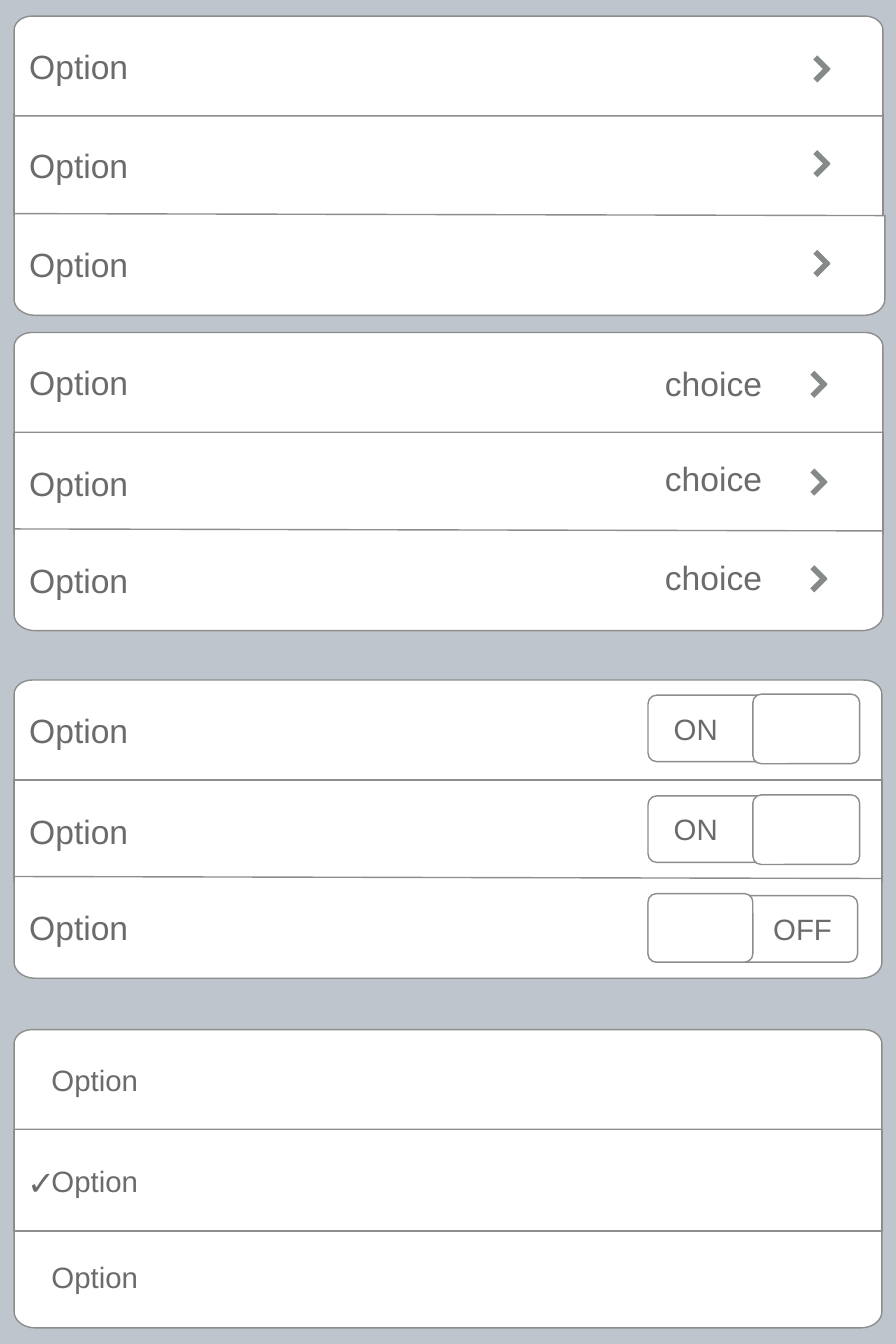
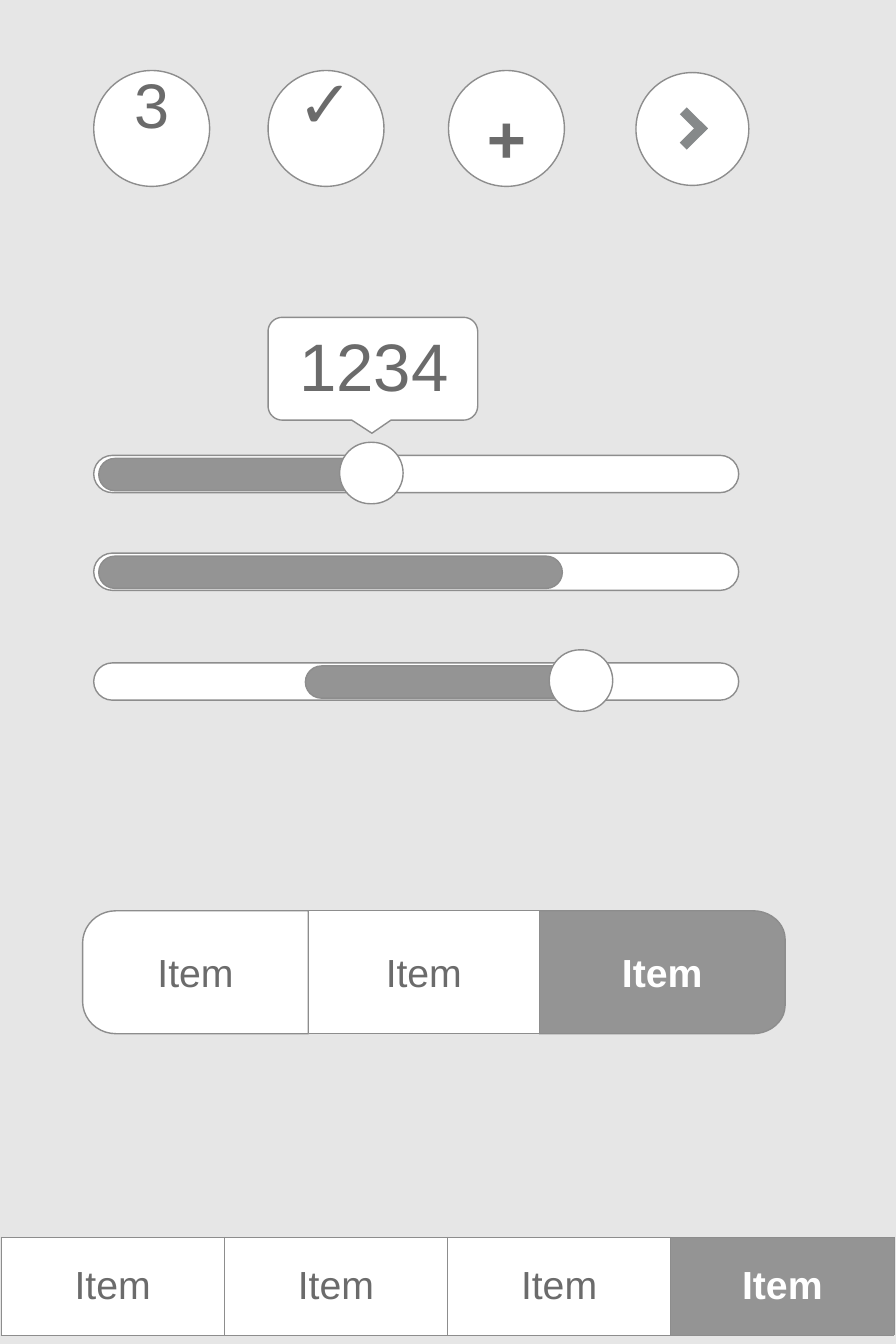
from dataclasses import dataclass
from math import cos, pi, sin

from lxml import etree
from pptx import Presentation
from pptx.dml.color import RGBColor
from pptx.enum.shapes import MSO_CONNECTOR, MSO_SHAPE
from pptx.enum.text import MSO_ANCHOR, PP_ALIGN
from pptx.oxml.ns import qn
from pptx.util import Inches, Pt


@dataclass(frozen=True)
class Theme:
    font: str = "Arial"
    settings_page: str = "BFC5CC"
    controls_page: str = "E6E6E6"
    white: str = "FFFFFF"
    active: str = "949494"
    border: str = "8D8D8D"
    chevron: str = "86898A"
    ink: str = "6B6B6B"
    small: int = 21
    label: int = 24
    item: int = 28
    digit: int = 45
    large: int = 48


THEME = Theme()
SQUARE = (0, 0)
ROW_SHAPES = {  # height, corner radii clockwise from top left, drop of the top edge
    "top": (0.99, ((0.18, 0.14), (0.18, 0.14), SQUARE, SQUARE), 0),
    "middle": (1.01, (SQUARE,) * 4, 0),
    "bottom": (1.01, (SQUARE, SQUARE, (0.21, 0.16), (0.21, 0.16)), 0.02),
}


@dataclass(frozen=True)
class Box:
    left: float
    top: float
    width: float
    height: float

    @property
    def right(self):
        return self.left + self.width

    @property
    def bottom(self):
        return self.top + self.height

    def inner(self, x, y, width, height):
        return Box(self.left + x, self.top + y, width, height)

    def lengths(self):
        return [Inches(v) for v in (self.left, self.top, self.width, self.height)]


def rgb(color):
    return RGBColor.from_string(color)


def paint(shape, fill, line=THEME.border):
    shape.shadow.inherit = False
    shape.fill.solid()
    shape.fill.fore_color.rgb = rgb(fill)
    if line:
        shape.line.color.rgb = rgb(line)
        shape.line.width = Pt(1)
    else:
        shape.line.fill.background()
    return shape


def style(frame, text, size, color=THEME.ink, bold=False, align=PP_ALIGN.LEFT):
    frame.text = text
    para = frame.paragraphs[0]
    para.alignment = align
    font = para.runs[0].font
    font.name, font.size, font.bold = THEME.font, Pt(size), bold
    font.color.rgb = rgb(color)
    return para


def write(shape, text, size, margins=(0, 0), **look):
    """Write centred-in-height text with (horizontal, vertical) margins."""
    frame = shape.text_frame
    frame.word_wrap = True
    frame.vertical_anchor = MSO_ANCHOR.MIDDLE
    frame.margin_left = frame.margin_right = Inches(margins[0])
    frame.margin_top = frame.margin_bottom = Inches(margins[1])
    return style(frame, text, size, **look)


def add_preset(page, kind, box, fill=THEME.white, line=THEME.border, radius=None):
    shape = page.shapes.add_shape(kind, *box.lengths())
    if radius is not None:
        shape.adjustments[0] = radius
    return paint(shape, fill, line)


def add_free_text(page, box, text, size, bold=False):
    frame = page.shapes.add_textbox(*box.lengths()).text_frame
    frame.word_wrap = False
    style(frame, text, size, bold=bold, align=PP_ALIGN.CENTER)


def add_panel(page, box, radii, fill=THEME.white, top_drop=0, pointer=()):
    """Outline with one radius pair per corner; pointer points join the bottom edge."""
    corners = (
        (box.left, box.top, 1, 1),
        (box.right, box.top + top_drop, -1, 1),
        (box.right, box.bottom, -1, -1),
        (box.left, box.bottom, 1, -1),
    )
    points = []
    for number, ((x, y, inward_x, inward_y), (rx, ry)) in enumerate(zip(corners, radii)):
        steps = 10 if rx else 0
        for step in range(steps + 1):
            angle = pi + number * pi / 2 + (step / steps * pi / 2 if steps else 0)
            points.append((x + rx * (inward_x + cos(angle)),
                           y + ry * (inward_y + sin(angle))) if steps else (x, y))
        if number == 2:
            points.extend(pointer)
    start, *rest = [(Inches(x), Inches(y)) for x, y in points]
    builder = page.shapes.build_freeform(*start)
    builder.add_line_segments(rest, close=True)
    return paint(builder.convert_to_shape(), fill)


def add_chevron(page, box, weight):
    tip = box.left + box.width
    for start, end in ((box.top, box.top + box.width),
                       (box.bottom, box.bottom - box.width)):
        arm = page.shapes.add_connector(
            MSO_CONNECTOR.STRAIGHT,
            *(Inches(v) for v in (box.left, start, tip, end)))
        arm.line.color.rgb = rgb(THEME.chevron)
        arm.line.width = Pt(weight)
        properties = arm.line._get_or_add_ln().getparent()
        etree.SubElement(properties, qn("a:effectLst"))


def add_row(page, kind, top, width=8.61, size=THEME.label, indent=0):
    height, radii, drop = ROW_SHAPES[kind]
    box = Box(0.14, top, width, height)
    row = add_panel(page, box, radii, top_drop=drop)
    write(row, "Option", size, (0.15, 0.15))
    row.text_frame.margin_left = Inches(0.15 + indent)
    return box


def add_link_row(page, kind, top, width, chevron_y):
    box = add_row(page, kind, top, width)
    add_chevron(page, box.inner(7.95, chevron_y, 0.13, 0.23), 4)


def add_choice_row(page, kind, top, chevron_y, choice_y):
    box = add_row(page, kind, top, 8.62)
    add_chevron(page, box.inner(7.92, chevron_y, 0.13, 0.23), 4)
    choice = add_preset(page, MSO_SHAPE.RECTANGLE,
                        box.inner(4.8, choice_y, 2.62, 0.38), line=None)
    write(choice, "choice", THEME.label, align=PP_ALIGN.RIGHT)


def add_toggle_row(page, kind, top, toggle_y, is_on):
    box = add_row(page, kind, top)
    toggle = box.inner(6.29, toggle_y, 2.08, 0.66)
    track = add_preset(page, MSO_SHAPE.ROUNDED_RECTANGLE, toggle, radius=0.13)
    write(track, "ON" if is_on else "OFF", THEME.small, (0.23, 0.15),
          align=PP_ALIGN.LEFT if is_on else PP_ALIGN.RIGHT)
    knob = toggle.inner(1.04, -0.01, 1.06, 0.69) if is_on else toggle.inner(
        0, -0.02, 1.04, 0.68)
    add_preset(page, MSO_SHAPE.ROUNDED_RECTANGLE, knob, radius=0.12)


def add_check_row(page, kind, top, checked):
    box = add_row(page, kind, top, size=THEME.small, indent=0.22)
    if checked:
        add_free_text(page, box.inner(0.03, 0.27, 0.4, 0.5), "✓", THEME.label, True)


def add_badge(page, box, text, size, bold, spacing):
    badge = add_preset(page, MSO_SHAPE.OVAL, box)
    para = write(badge, text, size, bold=bold, align=PP_ALIGN.CENTER)
    para.line_spacing = spacing


def add_arrow_badge(page, box):
    add_preset(page, MSO_SHAPE.OVAL, box)
    add_chevron(page, box.inner(0.47, 0.38, 0.21, 0.35), 7)


def add_slider(page, box, start, length, knob_x=None):
    bars = [(box, THEME.white),
            (box.inner(start, 0.03, length, 0.32), THEME.active)]
    if knob_x is not None:
        bars.append((box.inner(knob_x, -0.13, 0.63, 0.61), THEME.white))
    for bar, fill in bars:
        add_preset(page, MSO_SHAPE.ROUNDED_RECTANGLE, bar, fill, radius=0.5)


def add_value_callout(page, box):
    pointer = [(box.left + x, box.bottom + y)
               for x, y in ((1.22, 0), (1.03, 0.13), (0.83, 0))]
    add_panel(page, box, ((0.14, 0.14),) * 4, pointer=pointer)
    add_free_text(page, box.inner(0.15, 0.02, 1.8, 0.9), "1234", THEME.large)


def item_look(active):
    return {"color": THEME.white if active else THEME.ink,
            "bold": active, "align": PP_ALIGN.CENTER}


def add_segments(page, box):
    left, right = (0.33, 0.32), (0.32, 0.28)
    segments = (
        (2.29, 2.24, 2.44, (SQUARE, right, right, SQUARE), True),
        (0, 0, 2.24, (left, SQUARE, SQUARE, left), False),
        (0, 2.24, 2.29, (SQUARE,) * 4, False),
    )
    for shift, x, width, radii, active in segments:
        segment = add_panel(page, box.inner(shift + x, 0, width, box.height), radii,
                            THEME.active if active else THEME.white)
        write(segment, "Item", THEME.item, (0 if active else 0.06,) * 2,
              **item_look(active))


def add_cell_borders(cell):
    properties = cell._tc.get_or_add_tcPr()
    for side in ("lnL", "lnR", "lnT", "lnB"):
        line = etree.SubElement(properties, qn(f"a:{side}"), w=str(Pt(0.45)))
        fill = etree.SubElement(line, qn("a:solidFill"))
        etree.SubElement(fill, qn("a:srgbClr"), val=THEME.border)


def add_tab_bar(page, box, count=4):
    table = page.shapes.add_table(1, count, *box.lengths()).table
    table.first_row = table.horz_banding = False
    for number, cell in enumerate(table.iter_cells()):
        active = number == count - 1
        table.columns[number].width = Inches(box.width / count)
        add_cell_borders(cell)
        cell.fill.solid()
        cell.fill.fore_color.rgb = rgb(THEME.active if active else THEME.white)
        cell.vertical_anchor = MSO_ANCHOR.MIDDLE
        cell.margin_left = cell.margin_right = Inches(0.06)
        style(cell.text_frame, "Item", THEME.item, **item_look(active))


def add_page(deck, color):
    page = deck.slides.add_slide(deck.slide_layouts[6])
    page.background.fill.solid()
    page.background.fill.fore_color.rgb = rgb(color)
    return page


def build_settings(deck):
    page = add_page(deck, THEME.settings_page)
    sections = (
        (add_link_row, (("middle", 1.13, 8.62, 0.38), ("top", 0.16, 8.62, 0.41),
                        ("bottom", 2.12, 8.64, 0.38))),
        (add_choice_row, (("top", 3.3, 0.4, 0.31), ("middle", 4.29, 0.38, 0.26),
                          ("bottom", 5.25, 0.38, 0.29))),
        (add_toggle_row, (("middle", 7.74, 0.16, True), ("bottom", 8.7, 0.19, False),
                          ("top", 6.75, 0.15, True))),
        (add_check_row, (("top", 10.22, False), ("bottom", 12.17, False),
                         ("middle", 11.21, True))),
    )
    for draw_row, rows in sections:
        for row in rows:
            draw_row(page, *row)


def build_controls(deck):
    page = add_page(deck, THEME.controls_page)
    add_segments(page, Box(0.82, 9.04, 6.97, 1.22))
    add_tab_bar(page, Box(0.01, 12.28, 8.86, 0.97))
    for left, *badge in ((0.93, "3", THEME.digit, False, 0.01),
                         (2.66, "✓", THEME.large, True, 0.01),
                         (4.45, "+", THEME.large, True, 1.2)):
        add_badge(page, Box(left, 0.7, 1.15, 1.15), *badge)
    add_arrow_badge(page, Box(6.31, 0.72, 1.12, 1.12))
    for top, *slider in ((4.52, 0.05, 2.99, 2.44), (5.49, 0.05, 4.6),
                         (6.58, 2.1, 2.99, 4.52)):
        add_slider(page, Box(0.93, top, 6.4, 0.37), *slider)
    add_value_callout(page, Box(2.66, 3.15, 2.08, 1.02))


def main():
    deck = Presentation()
    deck.slide_width, deck.slide_height = Inches(8.89), Inches(13.34)
    build_settings(deck)
    build_controls(deck)
    deck.save("out.pptx")


if __name__ == "__main__":
    main()
